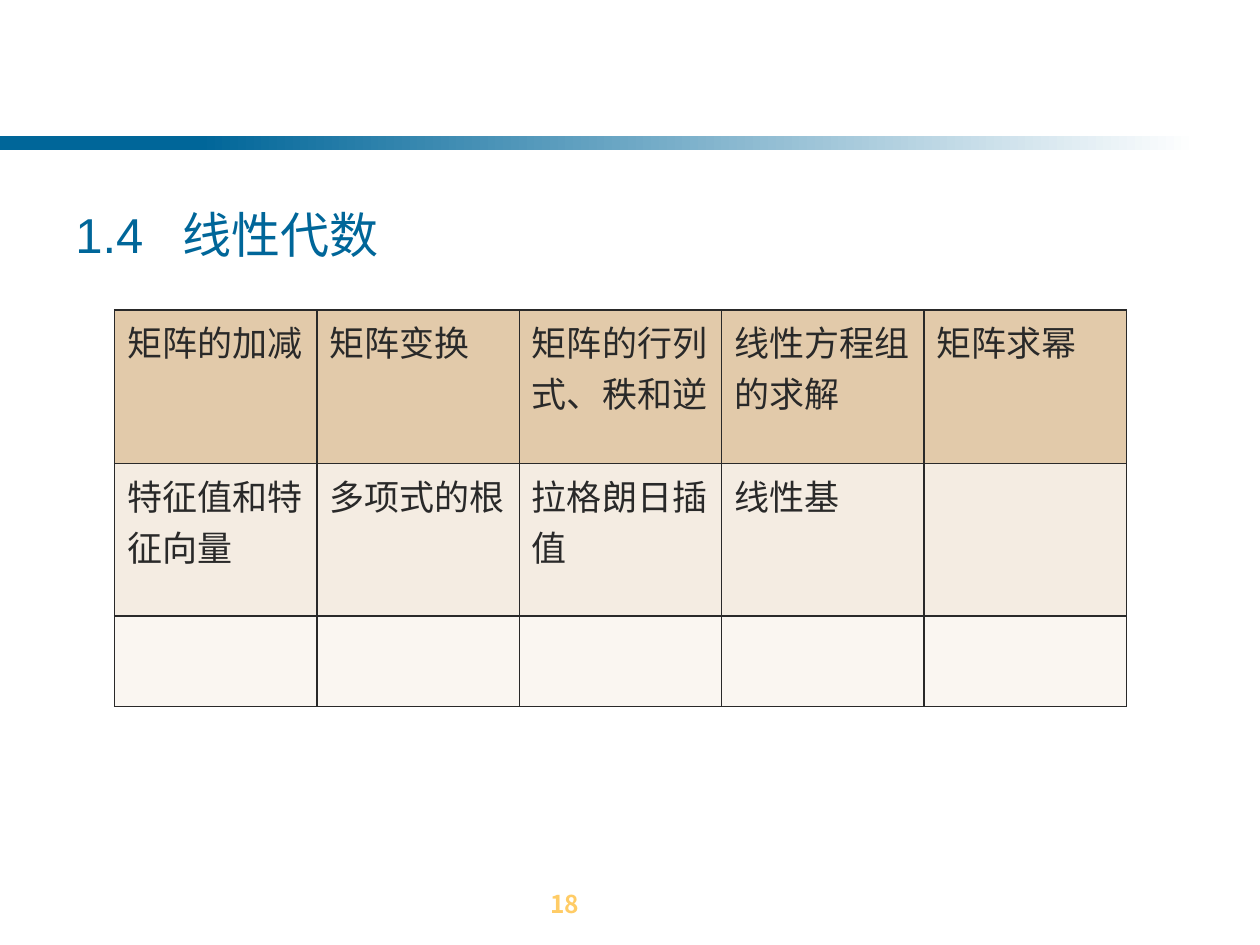
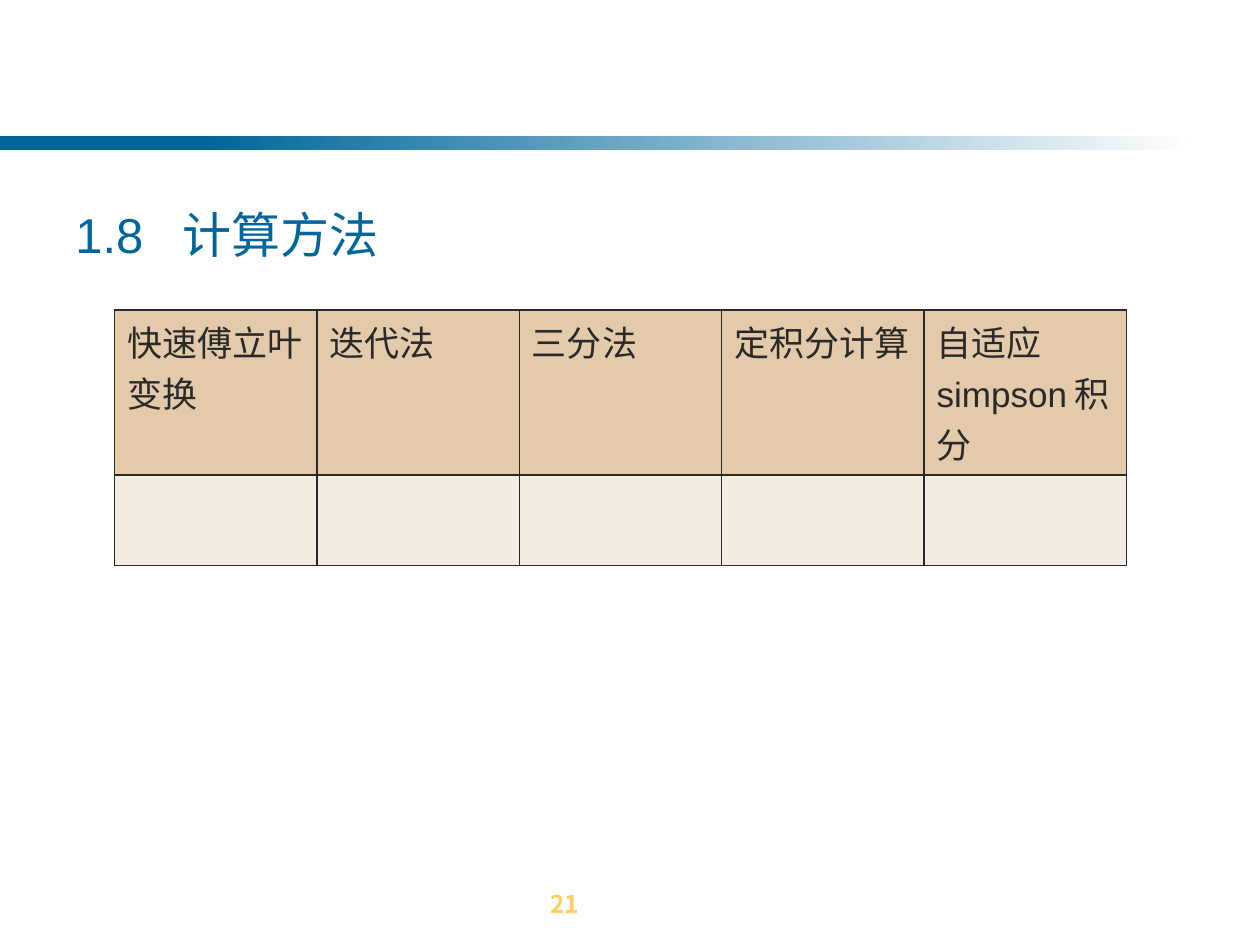
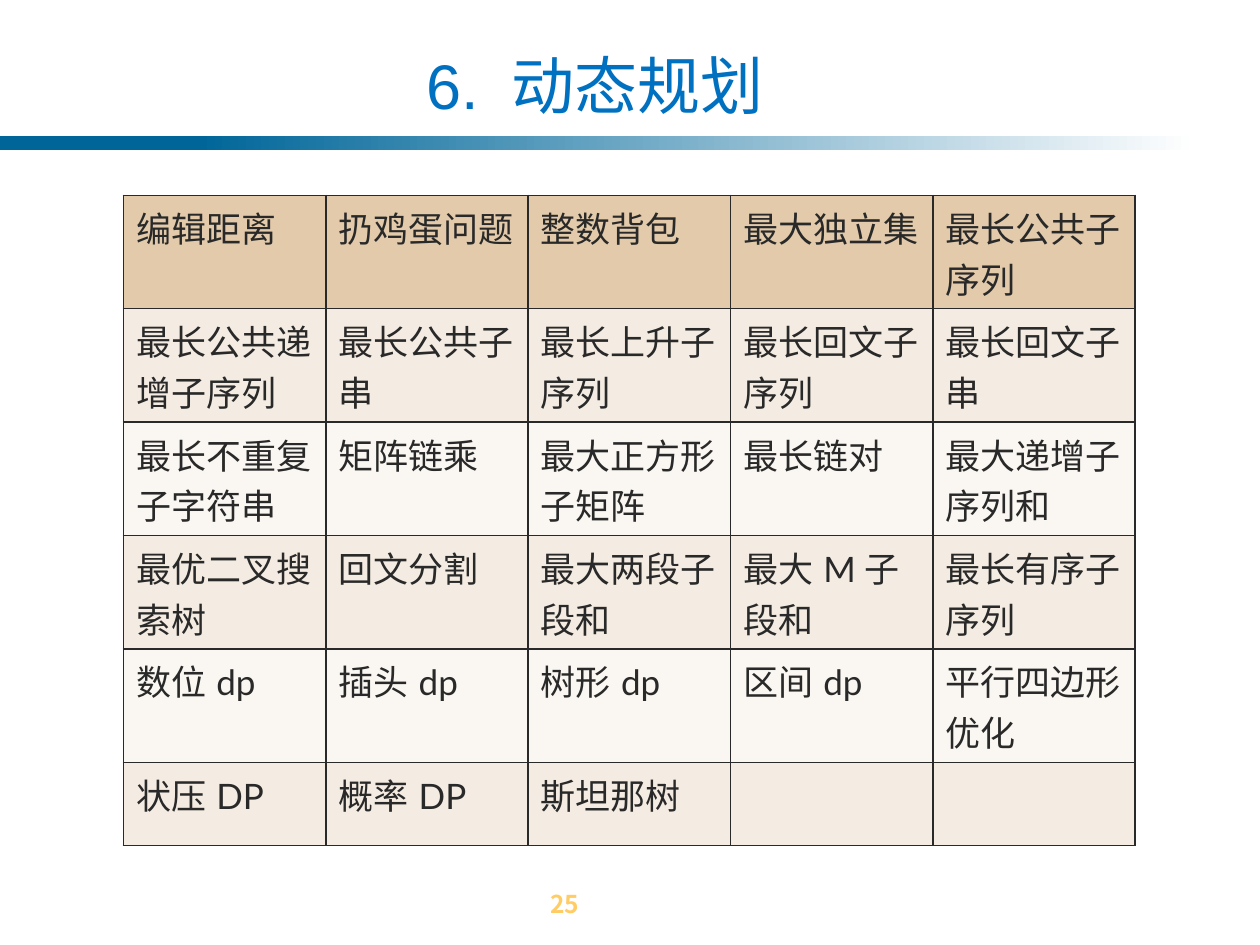
from lxml.etree import SubElement
from pptx import Presentation
from pptx.dml.color import RGBColor
from pptx.enum.shapes import MSO_SHAPE
from pptx.enum.text import MSO_ANCHOR, PP_ALIGN
from pptx.oxml.ns import qn
from pptx.util import Inches, Pt

BAND_BLUE = RGBColor(0x00, 0x66, 0x99)
TITLE_BLUE = RGBColor(0x00, 0x70, 0xC0)
WHITE = RGBColor(0xFF, 0xFF, 0xFF)
NUMBER_GOLD = RGBColor(0xFF, 0xCC, 0x66)
INK = RGBColor(0x29, 0x29, 0x29)
HEADER_TAN = RGBColor(0xE2, 0xCA, 0xAA)
ROW_TINTS = [RGBColor(0xFA, 0xF6, 0xF1), RGBColor(0xF4, 0xEC, 0xE2)]
CHINESE_FONT = "Noto Sans CJK SC"
COLUMN_COUNT = 5
TABLE_WIDTH = 8.03

SECTION_FORMAT = {
    "font": {"name": "Arial", "size": Pt(28)},
    "color": BAND_BLUE,
    "frame": {"vertical_anchor": MSO_ANCHOR.TOP},
    "alignment": PP_ALIGN.LEFT,
}
CHAPTER_FORMAT = {
    "font": {"name": "Arial", "size": Pt(36)},
    "color": TITLE_BLUE,
    "frame": {"vertical_anchor": MSO_ANCHOR.BOTTOM},
    "alignment": PP_ALIGN.CENTER,
}
NUMBER_FORMAT = {
    "font": {"name": CHINESE_FONT, "size": Pt(14), "bold": True},
    "color": NUMBER_GOLD,
    "frame": {"vertical_anchor": MSO_ANCHOR.TOP},
    "alignment": PP_ALIGN.LEFT,
}

TOPICS = [
    {
        "number": "18",
        "title": "1.4  线性代数",
        "title_box": (0.5, 1.62, 7.01, 0.58),
        "title_format": SECTION_FORMAT,
        "table_corner": (0.91, 2.46),
        "row_heights": [1.22, 1.21, 0.72],
        "font": "Lato",
        "rows": [
            ["矩阵的加减", "矩阵变换", "矩阵的行列式、秩和逆", "线性方程组的求解", "矩阵求幂"],
            ["特征值和特征向量", "多项式的根", "拉格朗日插值", "线性基"],
            [],
        ],
    },
    {
        "number": "21",
        "title": "1.8  计算方法",
        "title_box": (0.5, 1.62, 9, 0.58),
        "title_format": SECTION_FORMAT,
        "table_corner": (0.91, 2.46),
        "row_heights": [1.31, 0.72],
        "font": "Arial",
        "rows": [
            ["快速傅立叶变换", "迭代法", "三分法", "定积分计算", "自适应simpson积分"],
            [],
        ],
    },
    {
        "number": "25",
        "title": "6. 动态规划",
        "title_box": (2.16, 0.24, 5.12, 0.73),
        "title_format": CHAPTER_FORMAT,
        "table_corner": (0.98, 1.55),
        "row_heights": [0.9] * 5 + [0.66],
        "font": "Lato",
        "rows": [
            ["编辑距离", "扔鸡蛋问题", "整数背包", "最大独立集", "最长公共子序列"],
            ["最长公共递增子序列", "最长公共子串", "最长上升子序列", "最长回文子序列", "最长回文子串"],
            ["最长不重复子字符串", "矩阵链乘", "最大正方形子矩阵", "最长链对", "最大递增子序列和"],
            ["最优二叉搜索树", "回文分割", "最大两段子段和", "最大M子段和", "最长有序子序列"],
            ["数位dp", "插头dp", "树形dp", "区间dp", "平行四边形优化"],
            ["状压DP", "概率DP", "斯坦那树"],
        ],
    },
]


def write_text(paragraph, text, font_values, color):
    run = paragraph.add_run()
    run.text = text
    for name, value in font_values.items():
        setattr(run.font, name, value)
    run.font.color.rgb = color
    SubElement(run.font._element, qn("a:ea"), typeface=CHINESE_FONT)


def add_label(slide, text, box, text_format):
    text_frame = slide.shapes.add_textbox(*map(Inches, box)).text_frame
    frame_values = {"word_wrap": True, "margin_top": 0, "margin_bottom": 0}
    for name, value in {**frame_values, **text_format["frame"]}.items():
        setattr(text_frame, name, value)
    paragraph = text_frame.paragraphs[0]
    paragraph.alignment = text_format["alignment"]
    write_text(paragraph, text, text_format["font"], text_format["color"])


presentation = Presentation()
presentation.slide_width = Inches(10)
presentation.slide_height = Inches(7.5)

for topic in TOPICS:
    slide = presentation.slides.add_slide(presentation.slide_layouts[6])

    for left, width, fades in [(0, 2.33, False), (1.58, 7.92, True)]:
        band = slide.shapes.add_shape(
            MSO_SHAPE.RECTANGLE, Inches(left), Inches(1.08), Inches(width), Inches(0.11)
        )
        band.shadow.inherit = False
        band.line.fill.background()
        if fades:
            band.fill.gradient()
            band.fill.gradient_angle = 0
            for stop, color in zip(band.fill.gradient_stops, [BAND_BLUE, WHITE]):
                stop.color.rgb = color
        else:
            band.fill.solid()
            band.fill.fore_color.rgb = BAND_BLUE

    add_label(slide, topic["number"], (4.27, 7.06, 0.6, 0.33), NUMBER_FORMAT)
    add_label(slide, topic["title"], topic["title_box"], topic["title_format"])

    left, top = topic["table_corner"]
    heights = topic["row_heights"]
    table = slide.shapes.add_table(
        len(heights), COLUMN_COUNT,
        Inches(left), Inches(top), Inches(TABLE_WIDTH), Inches(sum(heights)),
    ).table
    table.first_row = False
    table.horz_banding = False
    for column in table.columns:
        column.width = Inches(TABLE_WIDTH / COLUMN_COUNT)

    for row_index, (row, height, words) in enumerate(zip(table.rows, heights, topic["rows"])):
        row.height = Inches(height)
        for cell in row.cells:
            properties = cell._tc.get_or_add_tcPr()
            for side in ["a:lnL", "a:lnR", "a:lnT", "a:lnB"]:
                border = SubElement(properties, qn(side), w=str(Pt(1)))
                border_fill = SubElement(border, qn("a:solidFill"))
                SubElement(border_fill, qn("a:srgbClr"), val=str(INK))
            cell.fill.solid()
            cell.fill.fore_color.rgb = ROW_TINTS[row_index % 2] if row_index else HEADER_TAN
        for cell, text in zip(row.cells, words):
            font_values = {"name": topic["font"], "size": Pt(20)}
            write_text(cell.text_frame.paragraphs[0], text, font_values, INK)

presentation.save("out.pptx")
